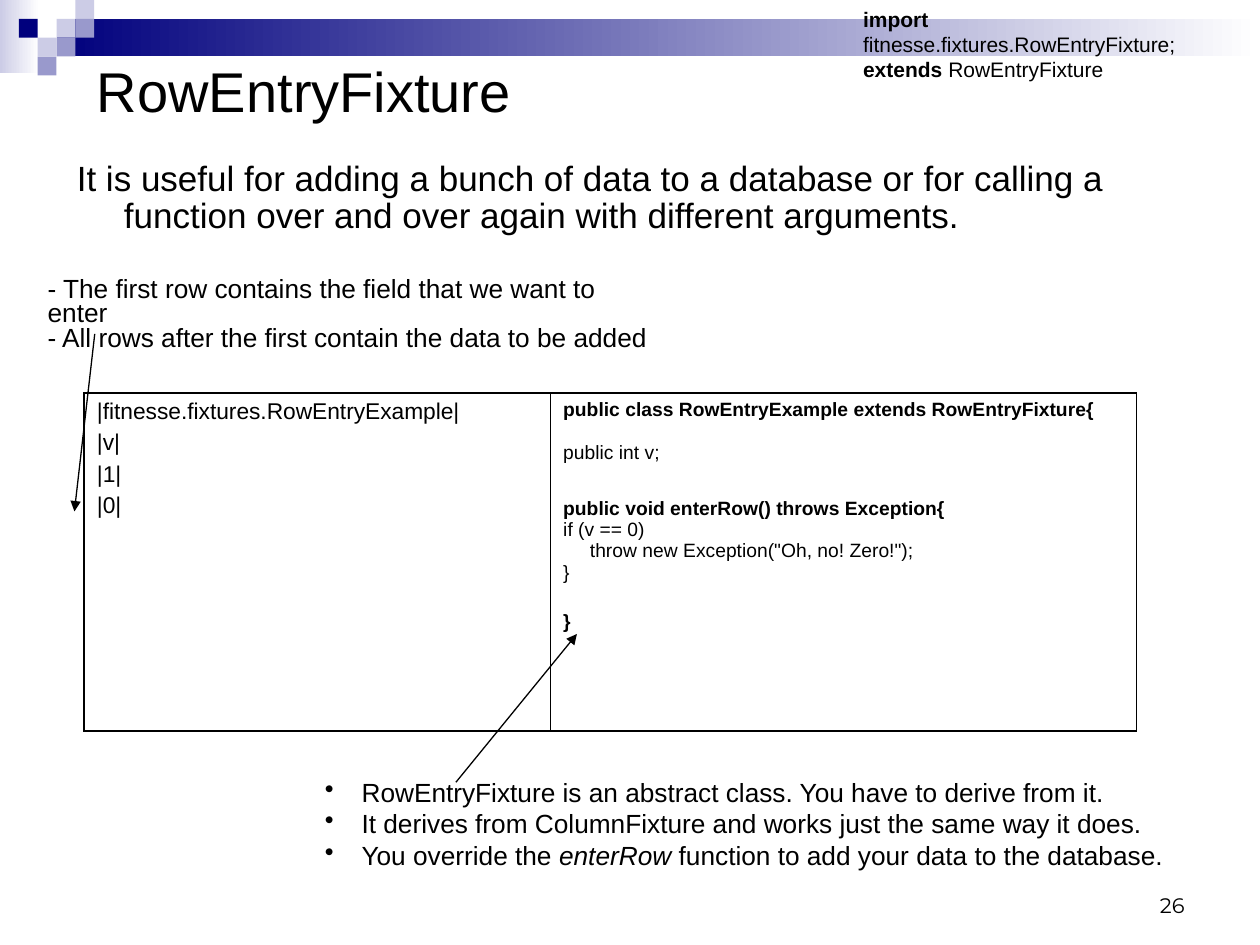
"""Build the RowEntryFixture slide: notes, wiki table beside its Java class, and callouts."""
from lxml.etree import SubElement
from pptx import Presentation
from pptx.dml.color import RGBColor as Rgb
from pptx.enum.shapes import MSO_CONNECTOR as Connector, MSO_SHAPE as Shape
from pptx.enum.text import MSO_ANCHOR as Anchor, PP_ALIGN as Align
from pptx.oxml import parse_xml
from pptx.oxml.ns import nsdecls, qn
from pptx.util import Cm, Pt

THEME = {
    "font": "Arial", "number_font": "Montserrat",
    "ink": "000000", "paper": "FFFFFF",
    "navy": "00007D", "violet": "9999CC", "lilac": "CCCCE6",
    "title": 32, "lead": 20, "note": 15, "wiki": 13, "small": 12, "code": 11,
    "arrow": 0.75, "outer": 1.08, "inner": 0.45,
}
BOLD, ITALIC = {"bold": True}, {"italic": True}

TITLE = [{"runs": [("RowEntryFixture", {})], "line_spacing": 0.85}]
LEAD = [{"runs": [("It is useful for adding a bunch of data to a database or for calling a "
                   "function over and over again with different arguments.", {})],
         "line_spacing": 0.9, "indent": (0.95, -0.95)}]
ROW_NOTES = [{"runs": [(line, {})], "line_spacing": 0.78} for line in (
    "- The first row contains the field that we want to enter",
    "- All rows after the first contain the data to be added")]
CLASS_NOTES = [{"runs": runs, "indent": (0.74, -0.74), "bullet": "•"} for runs in (
    [("RowEntryFixture is an abstract class. You have to derive from it.", {})],
    [("It derives from ColumnFixture and works just the same way it does.", {})],
    [("You override the ", {}), ("enterRow", ITALIC),
     (" function to add your data to the database.", {})])]
IMPORTS = [{"runs": [(keyword, BOLD), (rest, {})]} for keyword, rest in (
    ("import ", "fitnesse.fixtures.RowEntryFixture;"),
    ("extends", " RowEntryFixture"))]
NUMBER = [{"runs": [("26", {})], "alignment": Align.RIGHT}]
WIKI = [{"runs": [(row, {})], "space_before": Pt(gap)} for row, gap in (
    ("|fitnesse.fixtures.RowEntryExample|", 0), ("|v|", 3.3), ("|1|", 3.3), ("|0|", 3.3))]
JAVA = [{"runs": [(line, style)], "space_before": Pt(gap)} for line, style, gap in (
    ("public class RowEntryExample extends RowEntryFixture{", BOLD, 0),
    ("public int v;", {}, 12.3),
    ("public void enterRow() throws Exception{", BOLD, 19.5),
    ("if (v == 0)", {}, 0),
    ('     throw new Exception("Oh, no! Zero!");', {}, 0),
    ("}", {}, 0),
    ("}", BOLD, 15.7))]

TITLE_BOX = (1.7, 1.12, 23.7, 1.6)
TEXT_BOXES = [
    (LEAD, (1.3, 3.12, 23.19, 2.01), "lead", "font", Anchor.TOP, True),
    (CLASS_NOTES, (6.3, 15.52, 17.7, 2.16), "note", "font", Anchor.MIDDLE, True),
    (ROW_NOTES, (0.71, 5.74, 12.9, 1.24), "note", "font", Anchor.MIDDLE, False),
    (IMPORTS, (17.15, 0, 8.23, 1.27), "small", "font", Anchor.TOP, False),
    (NUMBER, (18.21, 17.35, 5.92, 1.27), "small", "number_font", Anchor.BOTTOM, True),
]
TABLE_BOX = (1.7, 7.92, 21.21, 6.81)
COLUMNS = [(WIKI, 9.4, "wiki"), (JAVA, 11.81, "code")]
ARROWS = [(1.91, 6.73, 1.5, 10.31), (9.19, 15.77, 11.63, 12.78)]
BANDS = [((0, 0, 0.79, 1.47), "lilac"), ((1.14, 0.38, 24.26, 0.76), "navy")]
TILE = 0.38
TILES = [(3, 1, "lilac"), (4, 0, "lilac"), (4, 1, "violet"), (2, 2, "lilac"),
         (1, 1, "navy"), (3, 2, "violet"), (2, 3, "violet")]


def color(name):
    return Rgb.from_string(THEME[name])


def lengths(values):
    return [Cm(value) for value in values]


def assign(target, values):
    for key, value in values.items():
        setattr(target, key, value)


def write(frame, paragraphs, size, font="font"):
    for index, content in enumerate(paragraphs):
        paragraph = frame.add_paragraph() if index else frame.paragraphs[0]
        properties = paragraph._p.get_or_add_pPr()
        if "indent" in content:
            for key, value in zip(("marL", "indent"), lengths(content["indent"])):
                properties.set(key, str(int(value)))
        if "bullet" in content:
            SubElement(properties, qn("a:buChar"), char=content["bullet"])
        assign(paragraph, {key: value for key, value in content.items()
                           if key not in ("runs", "indent", "bullet")})
        for text, style in content["runs"]:
            run = paragraph.add_run()
            run.text = text
            assign(run.font, {"name": THEME[font], "size": Pt(THEME[size]), **style})
            run.font.color.rgb = color("ink")


def add_block(slide, box):
    block = slide.shapes.add_shape(Shape.RECTANGLE, *lengths(box))
    block.shadow.inherit = False
    block.line.fill.background()
    return block


def add_decoration(slide):
    for box, hue in BANDS:
        fill = add_block(slide, box).fill
        fill.gradient()
        fill.gradient_angle = 180
        for stop, name in zip(fill.gradient_stops, ("paper", hue)):
            stop.color.rgb = color(name)
    for column, row, hue in TILES:
        fill = add_block(slide, (column * TILE, row * TILE, TILE, TILE)).fill
        fill.solid()
        fill.fore_color.rgb = color(hue)


def add_borders(cell, weights):
    for index, (side, weight) in enumerate(weights.items()):
        cell._tc.get_or_add_tcPr().insert(index, parse_xml(
            f'<a:ln{side} {nsdecls("a")} w="{int(Pt(THEME[weight]))}"><a:solidFill>'
            f'<a:srgbClr val="{THEME["ink"]}"/></a:solidFill></a:ln{side}>'))


def add_code_table(slide):
    table = slide.shapes.add_table(1, len(COLUMNS), *lengths(TABLE_BOX)).table
    assign(table, {"first_row": False, "horz_banding": False})
    last = len(COLUMNS) - 1
    for index, (paragraphs, width, size) in enumerate(COLUMNS):
        table.columns[index].width = Cm(width)
        cell = table.cell(0, index)
        cell.fill.background()
        add_borders(cell, {"L": "inner" if index else "outer",
                           "R": "inner" if index < last else "outer",
                           "T": "outer", "B": "outer"})
        write(cell.text_frame, paragraphs, size)


def add_arrow(slide, ends):
    arrow = slide.shapes.add_connector(Connector.STRAIGHT, *lengths(ends))
    arrow.line.width = Pt(THEME["arrow"])
    arrow.line.color.rgb = color("ink")
    SubElement(arrow.line._get_or_add_ln(), qn("a:tailEnd"), type="triangle")
    SubElement(arrow._element.spPr, qn("a:effectLst"))


def main():
    deck = Presentation()
    assign(deck, {"slide_width": Cm(25.4), "slide_height": Cm(19.05)})
    slide = deck.slides.add_slide(deck.slide_layouts[5])
    add_decoration(slide)

    title = slide.shapes.title
    assign(title, dict(zip(("left", "top", "width", "height"), lengths(TITLE_BOX))))
    title.text_frame.vertical_anchor = Anchor.MIDDLE
    write(title.text_frame, [{**TITLE[0], "alignment": Align.LEFT}], "title")

    add_code_table(slide)
    for paragraphs, box, size, font, anchor, wrap in TEXT_BOXES:
        frame = slide.shapes.add_textbox(*lengths(box)).text_frame
        assign(frame, {"word_wrap": wrap, "vertical_anchor": anchor})
        write(frame, paragraphs, size, font)
    for ends in ARROWS:
        add_arrow(slide, ends)
    deck.save("out.pptx")


if __name__ == "__main__":
    main()
